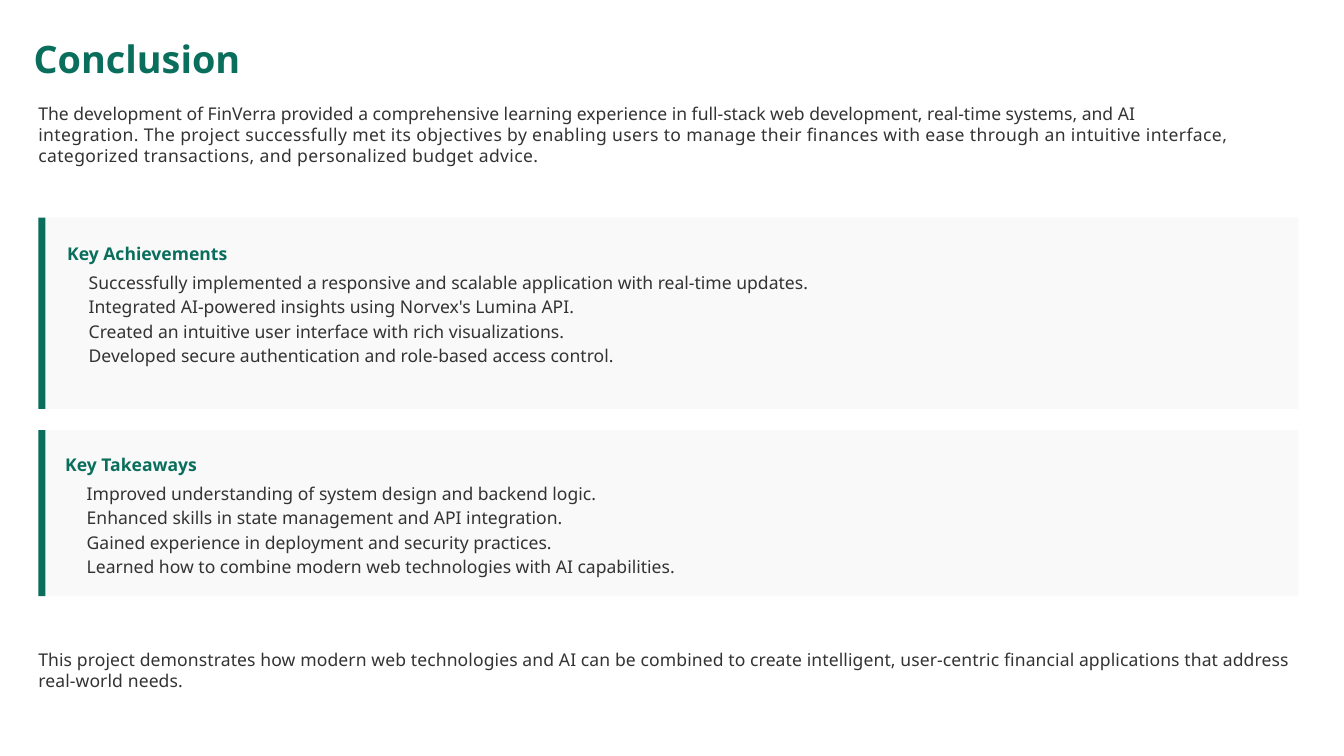
from pptx import Presentation, util as u
from pptx.dml import color
from pptx.enum import shapes, text

WIDTH, HEIGHT = u.Inches(20), u.Inches(11.25)
COLUMN, ROW = WIDTH / 100, HEIGHT / 100
GREEN, INK, PANEL = "0A6E5C", "333333", "F9F9F9"
FONT, BODY_SIZE = "Noto Sans", 18.8
LEFT, CARD_WIDTH, BAR_WIDTH = 2.85, 93.75, 0.53

INTRO_FIRST = ("The development of FinVerra provided a comprehensive learning experience in "
               "full-stack web development, real-time systems, and AI")
INTRO_REST = ("integration. The project successfully met its objectives by enabling users to manage "
              "their finances with ease through an intuitive interface, categorized transactions, "
              "and personalized budget advice.")
CLOSING = ("This project demonstrates how modern web technologies and AI can be combined to create "
           "intelligent, user-centric financial applications that address real-world needs.")
ACHIEVEMENTS = [
    "Successfully implemented a responsive and scalable application with real-time updates.",
    "Integrated AI-powered insights using Norvex's Lumina API.",
    "Created an intuitive user interface with rich visualizations.",
    "Developed secure authentication and role-based access control.",
]
TAKEAWAYS = [
    "Improved understanding of system design and backend logic.",
    "Enhanced skills in state management and API integration.",
    "Gained experience in deployment and security practices.",
    "Learned how to combine modern web technologies with AI capabilities.",
]


def rgb(value):
    """Turn a hex string into a colour."""
    return color.RGBColor.from_string(value)


def place(left, top, width, height):
    """Turn grid columns and rows into slide lengths."""
    return [round(n) for n in (left * COLUMN, top * ROW, width * COLUMN, height * ROW)]


def write(box, lines, size=BODY_SIZE, ink=INK, bold=False, leading=22.5, tracking=0):
    """Fill a box with one formatted paragraph per line."""
    frame = box.text_frame
    frame.word_wrap = True
    frame.auto_size = text.MSO_AUTO_SIZE.NONE
    frame.vertical_anchor = text.MSO_ANCHOR.TOP
    frame.margin_left = frame.margin_top = frame.margin_right = frame.margin_bottom = 0
    for index, line in enumerate(lines):
        para = frame.paragraphs[0] if index == 0 else frame.add_paragraph()
        para.alignment = text.PP_ALIGN.LEFT
        para.line_spacing = u.Pt(leading)
        para.space_before = para.space_after = u.Pt(0)
        span = para.add_run()
        span.text = line
        span.font.name, span.font.size, span.font.bold = FONT, u.Pt(size), bold
        span.font.color.rgb = rgb(ink)
        if tracking:
            span.font._element.set("spc", str(round(tracking * 100)))


def add_text(page, area, lines, **style):
    """Add a text box on the grid."""
    write(page.shapes.add_textbox(*place(*area)), lines, **style)


def add_block(page, area, fill):
    """Add a plain filled rectangle on the grid."""
    block = page.shapes.add_shape(shapes.MSO_SHAPE.RECTANGLE, *place(*area))
    block.shadow.inherit = False
    block.fill.solid()
    block.fill.fore_color.rgb = rgb(fill)
    block.line.fill.background()


def add_title(page, area, line):
    """Move and format the title placeholder."""
    title = page.shapes.title
    title.left, title.top, title.width, title.height = place(*area)
    write(title, [line], size=40.5, ink=GREEN, bold=True, leading=31.3)


def add_card(page, area, heading, points, inset, head_top, list_top, leading):
    """Add a panel with an accent bar, a heading and its points."""
    left, top, width, height = area
    add_block(page, area, PANEL)
    add_block(page, (left, top, BAR_WIDTH, height), GREEN)
    add_text(page, (left + inset, top + head_top, 19, 4), [heading],
             ink=GREEN, bold=True, leading=leading)
    add_text(page, (left + inset + 1.6, top + list_top, 58, 12.8), points, leading=26.3)


def main():
    """Build the conclusion slide."""
    deck = Presentation()
    deck.slide_width, deck.slide_height = WIDTH, HEIGHT
    page = deck.slides.add_slide(deck.slide_layouts[5])
    add_title(page, (2.5, 6.84, 15.7, 4.62), "Conclusion")
    add_text(page, (LEFT, 13.69, 90.45, 2.8), [INTRO_FIRST])
    add_text(page, (LEFT, 16.44, 90.45, 5.69), [INTRO_REST], tracking=0.4)
    add_card(page, (LEFT, 28.8, CARD_WIDTH, 25.28), "Key Achievements", ACHIEVEMENTS,
             inset=2.15, head_top=0.98, list_top=6.67, leading=42.1)
    add_card(page, (LEFT, 56.89, CARD_WIDTH, 21.96), "Key Takeaways", TAKEAWAYS,
             inset=2, head_top=1.24, list_top=6.49, leading=38.5)
    add_text(page, (LEFT, 85.87, 95.6, 5.42), [CLOSING], tracking=0.1)
    deck.save("out.pptx")


if __name__ == "__main__":
    main()
